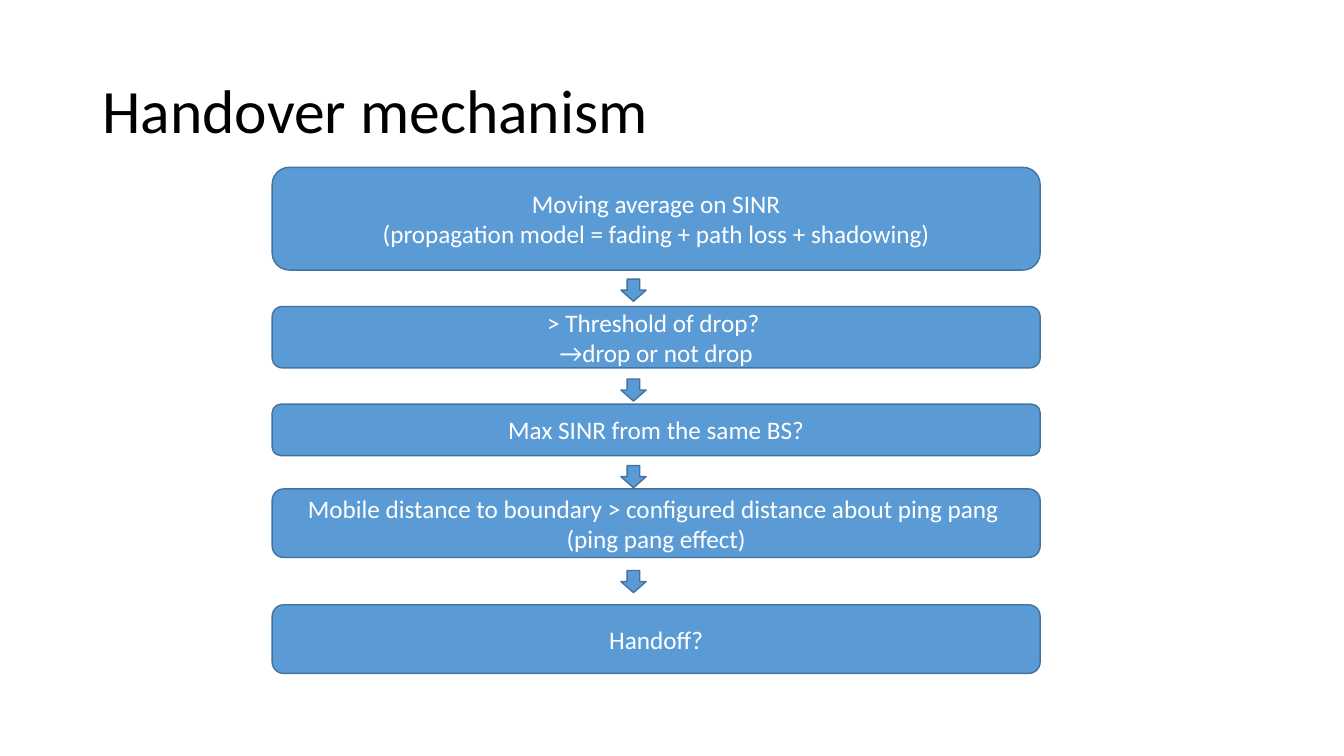
from dataclasses import dataclass

from pptx import Presentation
from pptx import util as u
from pptx.dml import color
from pptx.enum import shapes, text


@dataclass(frozen=True)
class Theme:
    font: str = "Calibri"
    title_size: float = 44
    step_size: float = 18
    title_color: str = "000000"
    step_color: str = "FFFFFF"
    fill: str = "5B9BD5"
    outline: str = "43739E"
    outline_width: float = 1


class SlideBuilder:
    def __init__(self, slide, theme):
        self.slide = slide
        self.theme = theme

    def add_lines(self, shape, lines, size, rgb, alignment, spacing):
        frame = shape.text_frame
        frame.word_wrap = True
        frame.vertical_anchor = text.MSO_ANCHOR.MIDDLE
        for index, line in enumerate(lines):
            paragraph = frame.add_paragraph() if index else frame.paragraphs[0]
            paragraph.alignment = alignment
            paragraph.line_spacing = spacing
            run = paragraph.add_run()
            run.text = line
            run.font.name = self.theme.font
            run.font.size = u.Pt(size)
            run.font.color.rgb = color.RGBColor.from_string(rgb)

    def add_title(self, title, left, top, width, height):
        box = self.slide.shapes.add_textbox(*map(u.Pt, (left, top, width, height)))
        self.add_lines(box, [title], self.theme.title_size, self.theme.title_color,
                       text.PP_ALIGN.LEFT, 0.9)

    def add_block(self, kind, left, top, width, height):
        shape = self.slide.shapes.add_shape(kind, *map(u.Pt, (left, top, width, height)))
        shape.shadow.inherit = False
        shape.fill.solid()
        shape.fill.fore_color.rgb = color.RGBColor.from_string(self.theme.fill)
        shape.line.color.rgb = color.RGBColor.from_string(self.theme.outline)
        shape.line.width = u.Pt(self.theme.outline_width)
        return shape

    def add_step(self, lines, left, top, width, height):
        shape = self.add_block(shapes.MSO_SHAPE.FLOWCHART_ALTERNATE_PROCESS,
                               left, top, width, height)
        self.add_lines(shape, lines, self.theme.step_size, self.theme.step_color,
                       text.PP_ALIGN.CENTER, 1.0)

    def add_down_arrow(self, left, top, width, height):
        self.add_block(shapes.MSO_SHAPE.DOWN_ARROW, left, top, width, height)


STEP_LEFT, STEP_WIDTH = 194.4, 548.6
ARROW_LEFT, ARROW_WIDTH, ARROW_HEIGHT = 443.5, 18, 15.8

STEPS = [
    (119.5, 73.4, ["Moving average on SINR",
                   "(propagation model = fading + path loss + shadowing)"]),
    (218.9, 43.9, ["> Threshold of drop? ", "→drop or not drop"]),
    (288.7, 36.7, ["Max SINR from the same BS?"]),
    (349.2, 49, ["Mobile distance to boundary > configured distance about ping pang ",
                 "(ping pang effect)"]),
    (432, 49, ["Handoff?"]),
]
ARROW_TOPS = [199.4, 270.7, 332.6, 407.5]

presentation = Presentation()
presentation.slide_width = u.Pt(960)
presentation.slide_height = u.Pt(540)
slide = presentation.slides.add_slide(presentation.slide_layouts[6])
builder = SlideBuilder(slide, Theme())

builder.add_title("Handover mechanism", 66, 28.8, 828, 104.4)
for top, height, lines in STEPS:
    builder.add_step(lines, STEP_LEFT, top, STEP_WIDTH, height)
for top in ARROW_TOPS:
    builder.add_down_arrow(ARROW_LEFT, top, ARROW_WIDTH, ARROW_HEIGHT)

presentation.save("out.pptx")
